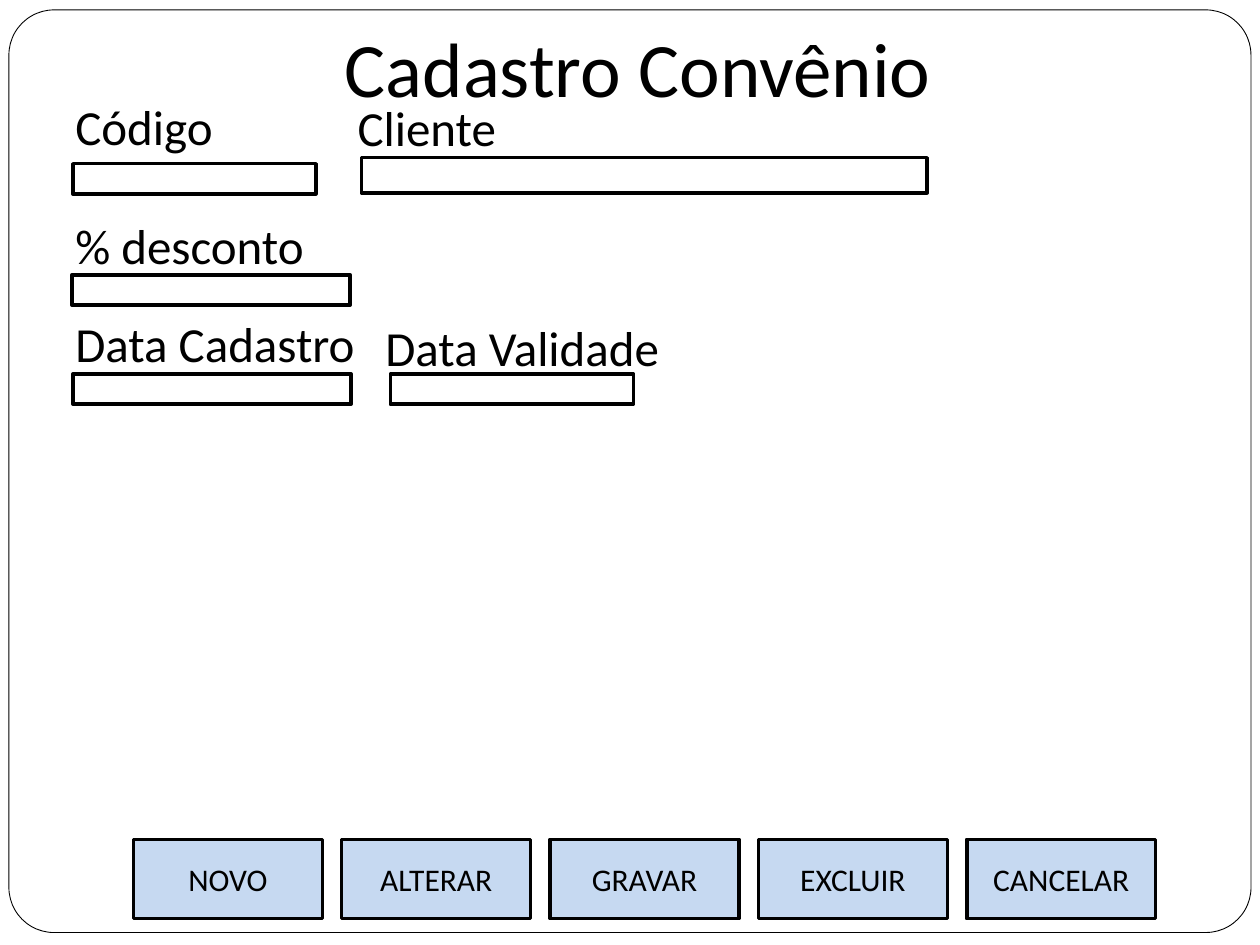
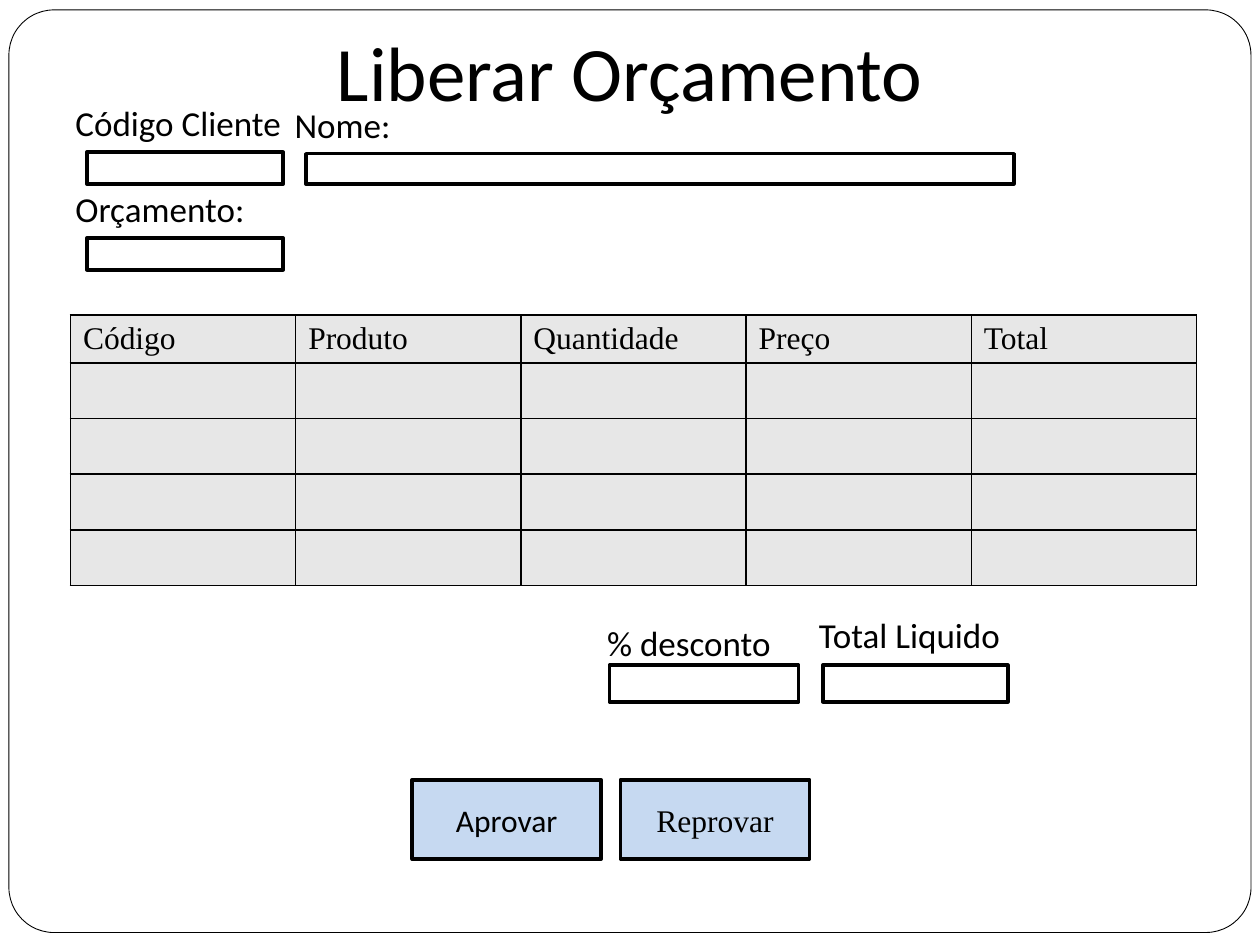
from lxml import etree
from pptx import Presentation
from pptx import util as u
from pptx.dml.color import RGBColor
from pptx.enum import shapes, text
from pptx.oxml.ns import qn

BLACK = RGBColor(0x00, 0x00, 0x00)
WHITE = RGBColor(0xFF, 0xFF, 0xFF)
BUTTON_BLUE = RGBColor(0xC6, 0xD9, 0xF1)
TABLE_GREY = RGBColor(0xE7, 0xE7, 0xE7)
SANS = "Calibri"
SERIF = "Times New Roman"
TITLE_ONLY = 5
BUTTON_WIDTH, BUTTON_HEIGHT, BUTTON_PITCH = 3.81, 1.6, 4.2


def lengths(*values):
    return [u.Cm(value) for value in values]


class FormBuilder:
    def __init__(self, presentation):
        self.presentation = presentation
        self.layout = presentation.slide_layouts[TITLE_ONLY]
        self.slide = None

    def start_slide(self, title, left, top, height):
        self.slide = self.presentation.slides.add_slide(self.layout)
        shape = self.slide.shapes.title
        shape.left, shape.top, shape.width, shape.height = lengths(left, top, 22.86, height)
        frame = shape.text_frame
        frame.text = title
        frame.auto_size = text.MSO_AUTO_SIZE.NONE
        frame.vertical_anchor = text.MSO_ANCHOR.MIDDLE
        self.format_text(frame, 44, alignment=text.PP_ALIGN.CENTER)

    def format_text(self, frame, size, font=SANS, alignment=text.PP_ALIGN.LEFT):
        for paragraph in frame.paragraphs:
            paragraph.alignment = alignment
            for run in paragraph.runs:
                run.font.size = u.Pt(size)
                run.font.name = font
                run.font.color.rgb = BLACK

    def box(self, position, fill=WHITE, line_width=2, kind=shapes.MSO_SHAPE.RECTANGLE):
        shape = self.slide.shapes.add_shape(kind, *lengths(*position))
        shape.shadow.inherit = False
        shape.fill.solid()
        shape.fill.fore_color.rgb = fill
        shape.line.color.rgb = BLACK
        shape.line.width = u.Pt(line_width)
        return shape

    def layout_frame(self):
        shape = self.box((0.18, 0.2, 25.04, 18.6), line_width=0.5,
                         kind=shapes.MSO_SHAPE.ROUNDED_RECTANGLE)
        shape.adjustments[0] = 0.049
        self.layout.shapes.element.insert(2, shape.element)

    def label(self, caption, position, size):
        shape = self.slide.shapes.add_textbox(*lengths(*position, 1.12))
        frame = shape.text_frame
        frame.word_wrap = True
        frame.margin_right = 0
        frame.text = caption
        self.format_text(frame, size)

    def fields(self, entries, size):
        for caption, label_position, box_position in entries:
            self.box(box_position)
            self.label(caption, label_position, size)

    def buttons(self, captions, left, top):
        for index, (caption, font) in enumerate(captions):
            position = (left + index * BUTTON_PITCH, top, BUTTON_WIDTH, BUTTON_HEIGHT)
            frame = self.box(position, BUTTON_BLUE).text_frame
            frame.text = caption
            frame.vertical_anchor = text.MSO_ANCHOR.MIDDLE
            self.format_text(frame, 18, font, text.PP_ALIGN.CENTER)

    def border_cell(self, cell):
        properties = cell._tc.get_or_add_tcPr()
        for side in ("a:lnL", "a:lnR", "a:lnT", "a:lnB"):
            line = etree.SubElement(properties, qn(side), w=str(u.Pt(1)))
            fill = etree.SubElement(line, qn("a:solidFill"))
            etree.SubElement(fill, qn("a:srgbClr"), val=str(BLACK))

    def table(self, headers, empty_rows, position, header_height, row_height):
        left, top, width = position
        height = header_height + empty_rows * row_height
        table = self.slide.shapes.add_table(
            empty_rows + 1, len(headers), *lengths(left, top, width, height)).table
        table.first_row = table.horz_banding = False
        for column in table.columns:
            column.width = u.Cm(width / len(headers))
        for index, row in enumerate(table.rows):
            row.height = u.Cm(row_height if index else header_height)
        for cell in table.iter_cells():
            self.border_cell(cell)
            cell.fill.solid()
            cell.fill.fore_color.rgb = TABLE_GREY
        for index, header in enumerate(headers):
            frame = table.cell(0, index).text_frame
            frame.text = header
            self.format_text(frame, 18, SERIF)


def agreement_slide(form):
    form.start_slide("Cadastro Convênio", 1.43, 0.33, 2.01)
    form.layout_frame()
    form.fields([
        ("Código", (1.27, 1.83, 8), (1.47, 3.3, 4.9, 0.61)),
        ("Cliente", (6.96, 1.85, 12.17), (7.29, 3.18, 11.4, 0.71)),
        ("% desconto", (1.27, 4.22, 5.79), (1.45, 5.54, 5.61, 0.61)),
        ("Data Cadastro", (1.27, 6.2, 6.2), (1.47, 7.54, 5.61, 0.61)),
        ("Data Validade", (7.52, 6.27, 8), (7.87, 7.54, 4.9, 0.61)),
    ], 28)
    captions = ("NOVO", "ALTERAR", "GRAVAR", "EXCLUIR", "CANCELAR")
    form.buttons([(caption, SANS) for caption in captions], 2.69, 16.92)


def quote_slide(form):
    form.start_slide("Liberar Orçamento", 1.27, 0.25, 2.36)
    form.buttons([("Aprovar", SANS), ("Reprovar", SERIF)], 8.31, 15.72)
    form.table(("Código", "Produto", "Quantidade", "Preço", "Total"), 4,
               (1.42, 6.35, 22.7), 0.97, 1.12)
    form.fields([
        ("Código Cliente", (1.27, 1.93, 4.83), (1.75, 3.07, 3.96, 0.64)),
        ("Nome:", (5.69, 1.96, 4.83), (6.17, 3.1, 14.27, 0.61)),
        ("Orçamento:", (1.27, 3.66, 4.83), (1.75, 4.8, 3.96, 0.64)),
        ("% desconto", (11.99, 12.4, 5.79), (12.29, 13.41, 3.81, 0.74)),
        ("Total Liquido", (16.26, 12.24, 4.19), (16.59, 13.41, 3.73, 0.74)),
    ], 20)


def main():
    presentation = Presentation()
    presentation.slide_width, presentation.slide_height = lengths(25.4, 19.05)
    form = FormBuilder(presentation)
    agreement_slide(form)
    quote_slide(form)
    presentation.save("out.pptx")


if __name__ == "__main__":
    main()
